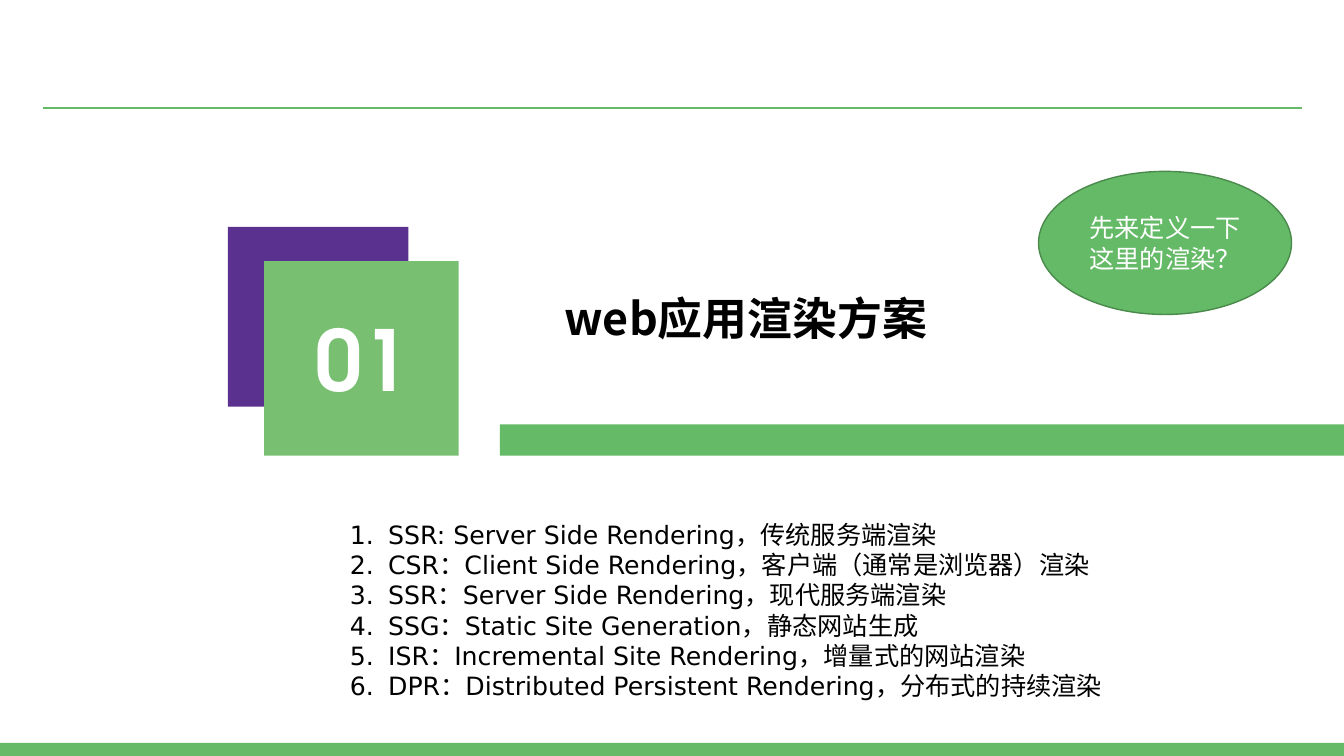
from lxml import etree
from pptx import Presentation
from pptx.dml.color import RGBColor
from pptx.enum.shapes import MSO_CONNECTOR, MSO_SHAPE
from pptx.enum.text import MSO_ANCHOR, MSO_AUTO_SIZE, PP_ALIGN
from pptx.oxml.ns import qn
from pptx.util import Inches, Pt

RECT, OVAL = MSO_SHAPE.RECTANGLE, MSO_SHAPE.OVAL
LINE = MSO_CONNECTOR.STRAIGHT
TOP, MID = MSO_ANCHOR.TOP, MSO_ANCHOR.MIDDLE
LEFT, CENTER = PP_ALIGN.LEFT, PP_ALIGN.CENTER
FIXED = MSO_AUTO_SIZE.NONE

COLORS = {
    "green": "65BA67",
    "light": "78BF72",
    "purple": "5B318F",
    "edge": "4A8A4C",
    "white": "FFFFFF",
    "black": "000000",
}
BODY, HEAD, DIGIT = "DejaVu Sans", "Noto Sans CJK SC", "TeX Gyre Adventor"

PLANS = [
    "SSR: Server Side Rendering，传统服务端渲染",
    "CSR：Client Side Rendering，客户端（通常是浏览器）渲染",
    "SSR：Server Side Rendering，现代服务端渲染",
    "SSG：Static Site Generation，静态网站生成",
    "ISR：Incremental Site Rendering，增量式的网站渲染",
    "DPR：Distributed Persistent Rendering，分布式的持续渲染",
]


class Deck:
    """Holds the style and the current slide; lengths are percent of its size."""

    def __init__(self):
        self.prs = Presentation()
        self.prs.slide_width = Inches(13.33)
        self.prs.slide_height = Inches(7.5)
        self.slide = self.prs.slides.add_slide(self.prs.slide_layouts[1])
        self.shapes = self.slide.shapes

    def box(self, x, y, w, h):
        wide, high = self.prs.slide_width, self.prs.slide_height
        return [int(part * size / 100)
                for part, size in ((x, wide), (y, high), (w, wide), (h, high))]

    def color(self, name):
        return RGBColor.from_string(COLORS[name])

    def shape(self, kind, area, fill, edge=None):
        item = self.shapes.add_shape(kind, *self.box(*area))
        item.shadow.inherit = False
        item.fill.solid()
        item.fill.fore_color.rgb = self.color(fill)
        if edge:
            item.line.color.rgb = self.color(edge)
            item.line.width = Pt(1)
        else:
            item.line.fill.background()
        return item

    def rule(self, x, y, end, color):
        left, top, right, _ = self.box(x, y, end, 0)
        line = self.shapes.add_connector(LINE, left, top, right, top)
        line.line.color.rgb = self.color(color)
        line.line.width = Pt(1)
        etree.SubElement(line._element.spPr, qn("a:effectLst"))

    def text(self, item, lines, size, font, color, bold=False,
             align=LEFT, anchor=TOP, wrap=True, count=False):
        frame = item.text_frame
        frame.auto_size = FIXED
        frame.word_wrap = wrap
        frame.vertical_anchor = anchor
        for i, line in enumerate(lines):
            para = frame.add_paragraph() if i else frame.paragraphs[0]
            para.alignment = align
            para.line_spacing = 1.0
            para.space_before = Pt(0)
            if count:
                self.number(para)
            run = para.add_run()
            run.text = line
            style = run.font
            style.size, style.bold, style.name = Pt(size), bold, font
            style.color.rgb = self.color(color)
            etree.SubElement(run._r.get_or_add_rPr(), qn("a:ea"), typeface=font)

    def number(self, para):
        props = para._p.get_or_add_pPr()
        props.set("marL", str(Inches(0.38)))
        props.set("indent", str(-Inches(0.38)))
        etree.SubElement(props, qn("a:buFont"), typeface=BODY)
        etree.SubElement(props, qn("a:buAutoNum"), type="arabicPeriod")

    def holder(self, index, area):
        """Move a template placeholder to the area and to the front."""
        item = self.slide.placeholders[index]
        item.left, item.top, item.width, item.height = self.box(*area)
        self.shapes._spTree.append(item._element)
        return item

    def label(self, area):
        return self.shapes.add_textbox(*self.box(*area))


def main():
    deck = Deck()
    deck.shape(RECT, (0, 98.27, 100, 1.73), "green")
    deck.rule(3.2, 14.27, 96.85, "green")
    deck.shape(RECT, (37.2, 56.13, 62.8, 4.13), "green")

    title = deck.holder(0, (41.26, 37.73, 32.11, 8.53))
    deck.text(title, ["web应用渲染方案"], 32, HEAD, "black", bold=True)

    deck.shape(RECT, (16.95, 30, 13.43, 23.8), "purple")
    deck.shape(RECT, (19.65, 34.53, 14.48, 25.73), "light")
    digit = deck.label((22.73, 40, 8.63, 14.8))
    deck.text(digit, ["01"], 60, DIGIT, "white", bold=True, wrap=False)

    plans = deck.holder(1, (25.28, 68, 57.99, 25.6))
    deck.text(plans, PLANS, 18, BODY, "black", count=True)

    ask = deck.shape(OVAL, (77.27, 22.67, 18.83, 18.93), "green", "edge")
    deck.text(ask, ["先来定义一下这里的渲染？"], 18, BODY, "white",
              align=CENTER, anchor=MID)
    deck.prs.save("out.pptx")


if __name__ == "__main__":
    main()
